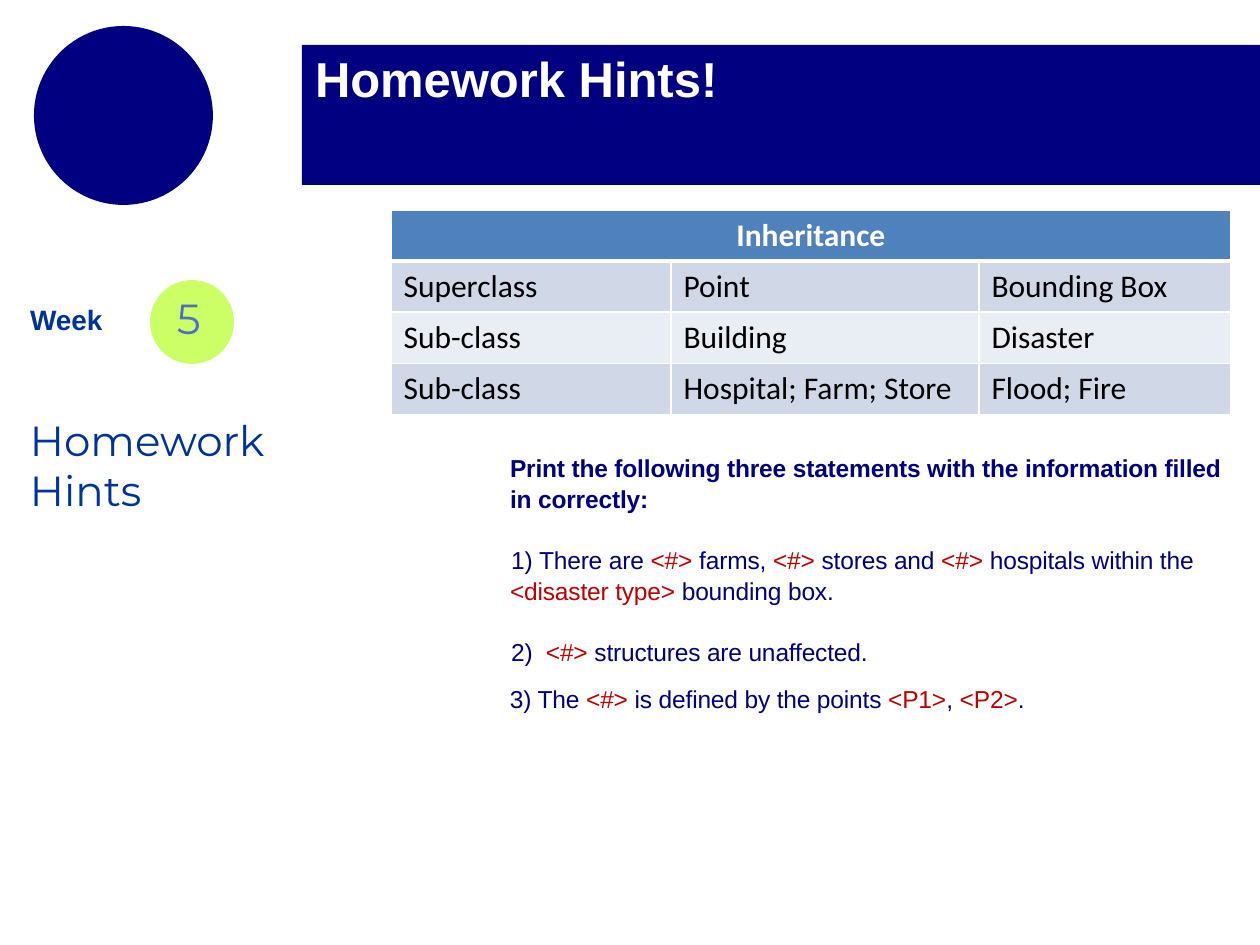
from lxml.etree import SubElement
from pptx import Presentation
from pptx.dml.color import RGBColor
from pptx.enum.shapes import MSO_SHAPE as Shape
from pptx.enum.text import MSO_AUTO_SIZE as AutoSize, PP_ALIGN as Align
from pptx.oxml.ns import qn
from pptx.util import Pt

PX = 914400 / 126
NAVY, BLUE, RED, WHITE = "000080", "003399", "C00000", "FFFFFF"
HEADER, BAND, PALE = "4F81BD", "D0D8E8", "E9EDF4"
PARAGRAPH_GAP = 17.3


def px(*lengths):
    return [round(length * PX) for length in lengths]


def color(value):
    return RGBColor.from_string(value)


def add_span(para, text, size=14, font="Arial", fill=NAVY, bold=False, spacing=0):
    span = para.add_run()
    span.text = text
    span.font.size = Pt(size)
    span.font.name = font
    span.font.bold = bold
    span.font.color.rgb = color(fill)
    if spacing:
        span._r.get_or_add_rPr().set("spc", str(spacing))


def add_frame(page, *bounds):
    frame = page.shapes.add_textbox(*px(*bounds)).text_frame
    frame.word_wrap = True
    frame.auto_size = AutoSize.NONE
    frame.margin_left = frame.margin_right = frame.margin_bottom = 0
    frame.margin_top = px(1)[0]
    return frame


def add_text(page, text, bounds, **style):
    para = add_frame(page, *bounds).paragraphs[0]
    para.space_before = Pt(1)
    set_indent(para, 1, 0)
    add_span(para, text, **style)


def set_indent(para, left, first):
    props = para._p.get_or_add_pPr()
    for name, value in zip(("marL", "indent"), px(left, first)):
        props.set(name, str(value))
    return props


def add_statement(frame, parts, before=0, number=None, bold=False):
    """Add a paragraph; parts alternate between plain text and red blanks."""
    para = frame.paragraphs[0]
    if para.runs:
        para = frame.add_paragraph()
    para.line_spacing = 1.05
    para.space_before = Pt(before)
    if number:
        props = set_indent(para, 30, -28)
        SubElement(props, qn("a:buFont"), typeface="Arial")
        SubElement(props, qn("a:buAutoNum"), type="arabicParenR", startAt=str(number))
    else:
        set_indent(para, 1, 0)
    for index, part in enumerate(parts):
        if part:
            add_span(para, part, fill=RED if index % 2 else NAVY, bold=bold, spacing=-10)


def add_block(page, kind, fill, *bounds):
    block = page.shapes.add_shape(kind, *px(*bounds))
    block.shadow.inherit = False
    block.fill.solid()
    block.fill.fore_color.rgb = color(fill)
    block.line.fill.background()


def set_borders(cell, bottom):
    props = cell._tc.get_or_add_tcPr()
    for index, (side, width) in enumerate((("L", 1), ("R", 1), ("T", 1), ("B", bottom))):
        line = props.makeelement(qn(f"a:ln{side}"), {"w": str(Pt(width))})
        paint = SubElement(line, qn("a:solidFill"))
        SubElement(paint, qn("a:srgbClr"), val=WHITE)
        props.insert(index, line)


def add_inheritance_table(page):
    rows = (
        ("Inheritance", "", ""),
        ("Superclass", "Point", "Bounding Box"),
        ("Sub-class", "Building", "Disaster"),
        ("Sub-class", "Hospital; Farm; Store", "Flood; Fire"),
    )
    table = page.shapes.add_table(4, 3, *px(391, 210, 840, 204)).table
    for column, width in zip(table.columns, px(280, 308, 252)):
        column.width = width
    for r, (values, fill) in enumerate(zip(rows, (HEADER, BAND, PALE, BAND))):
        table.rows[r].height = px(51)[0]
        for c, value in enumerate(values):
            cell = table.cell(r, c)
            cell.fill.solid()
            cell.fill.fore_color.rgb = color(fill)
            set_borders(cell, 1 if r else 3)
            if value:
                para = cell.text_frame.paragraphs[0]
                para.alignment = Align.LEFT if r else Align.CENTER
                add_span(para, value, size=18, font="Calibri",
                         fill="000000" if r else WHITE, bold=not r)
    table.cell(0, 0).merge(table.cell(0, 2))


def add_statements(page):
    frame = add_frame(page, 509, 451, 726, 212)
    add_statement(frame, ["Print the following three statements with the information filled"],
                  before=1, bold=True)
    add_statement(frame, ["in correctly:"], bold=True)
    add_statement(frame, ["There are ", "<#> ", "farms, ", "<#> ", "stores and ", "<#> ",
                          "hospitals within the"], before=PARAGRAPH_GAP, number=1)
    add_statement(frame, ["", "<disaster type> ", "bounding box."])
    add_statement(frame, [" ", "<#> ", "structures are unaffected."],
                  before=PARAGRAPH_GAP, number=2)
    last = add_frame(page, 509, 682, 720, 32)
    add_statement(last, ["3) The ", "<#>", " is defined by the points ", "<P1>", ", ",
                         "<P2>", "."], before=1)


def main():
    deck = Presentation()
    deck.slide_width, deck.slide_height = px(1260, 945)
    page = deck.slides.add_slide(deck.slide_layouts[6])
    add_block(page, Shape.OVAL, NAVY, 34, 26, 179, 179)
    add_text(page, "Week", (29, 302, 80, 38), size=16, fill=BLUE, bold=True)
    add_block(page, Shape.OVAL, "CCFF66", 150, 280, 84, 84)
    add_text(page, "5", (176, 292, 32, 54), size=24, font="Montserrat", fill="4E6DC7")
    add_text(page, "Homework Hints", (29, 413, 252, 105), size=24,
             font="Montserrat", fill=BLUE)
    add_block(page, Shape.RECTANGLE, NAVY, 302, 45, 958, 140)
    add_text(page, "Homework Hints!", (314, 48, 420, 63), size=28, fill=WHITE, bold=True)
    add_statements(page)
    add_inheritance_table(page)
    deck.save("out.pptx")


if __name__ == "__main__":
    main()
